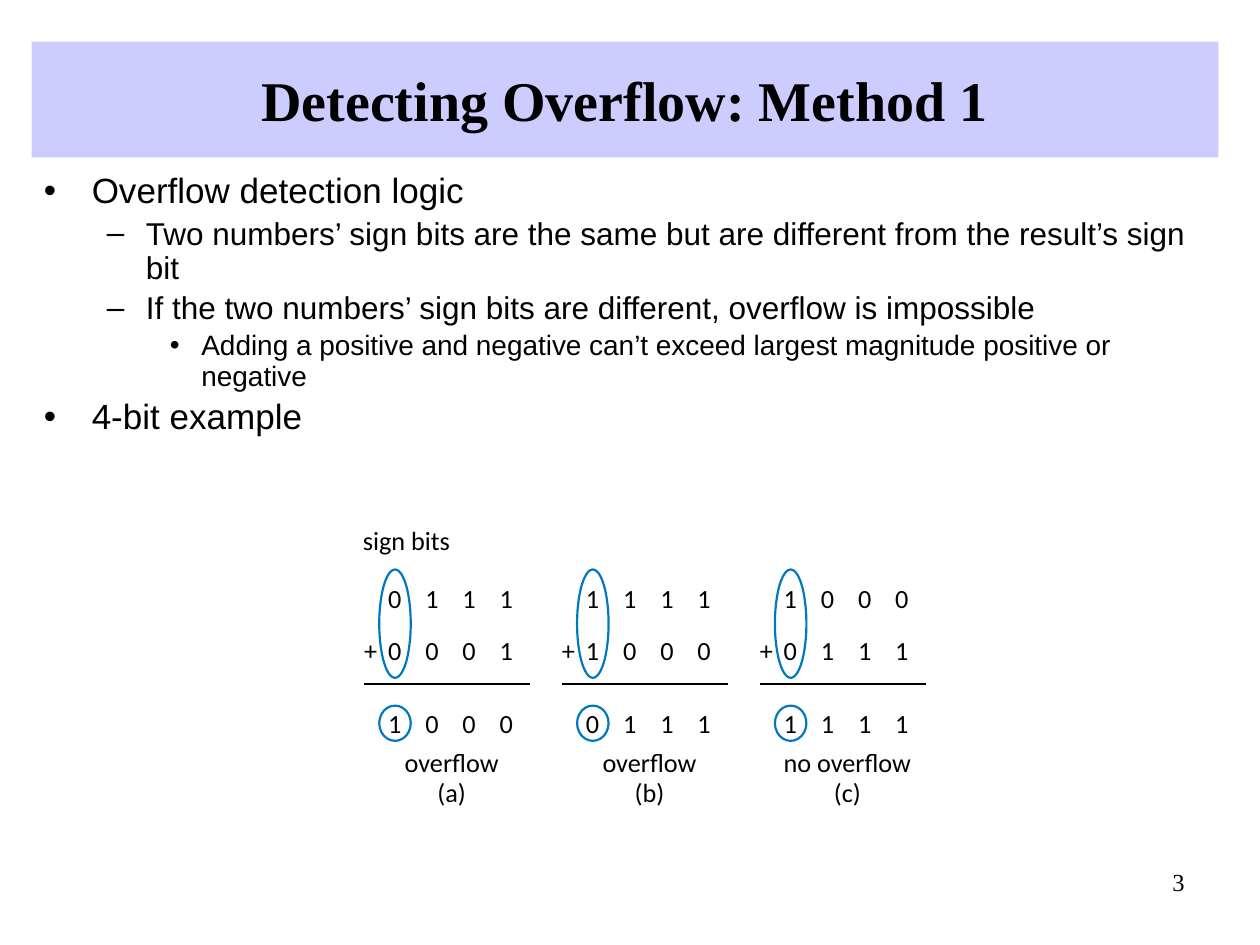
"""Build the slide on detecting overflow from the sign bits."""
from lxml.etree import SubElement
from pptx import Presentation
from pptx.dml.color import RGBColor
from pptx.enum.shapes import MSO_CONNECTOR, MSO_SHAPE
from pptx.enum.text import MSO_ANCHOR, MSO_AUTO_SIZE, PP_ALIGN
from pptx.oxml.ns import qn
from pptx.util import Inches, Pt

BLACK = RGBColor(0x00, 0x00, 0x00)
LAVENDER = RGBColor(0xCC, 0xCC, 0xFF)
BLUE = RGBColor(0x00, 0x78, 0xC1)

TITLE_FONT = {"name": "Times New Roman", "size": Pt(32), "bold": True}
NUMBER_FONT = {"name": "Times New Roman", "size": Pt(14)}
FIGURE_FONT = {"name": "Calibri", "size": Pt(15)}
NO_MARGINS = {"margin_left": 0, "margin_right": 0, "margin_top": 0, "margin_bottom": 0}
FIGURE_FRAME = {**NO_MARGINS, "word_wrap": False, "auto_size": MSO_AUTO_SIZE.SHAPE_TO_FIT_TEXT}

# Per level: bullet, text size, left margin, hanging indent
LEVELS = [("•", 20, 0.38, 0.38), ("–", 18, 0.81, 0.31), ("•", 16, 1.25, 0.25)]
POINTS = [
    (0, "Overflow detection logic"),
    (1, "Two numbers’ sign bits are the same but are different from the result’s sign bit"),
    (1, "If the two numbers’ sign bits are different, overflow is impossible"),
    (2, "Adding a positive and negative can’t exceed largest magnitude positive or negative"),
    (0, "4-bit example"),
]
ADDITIONS = [
    ("0111", "0001", "1000", "overflow", "(a)"),
    ("1111", "1000", "0111", "overflow", "(b)"),
    ("1000", "0111", "1111", "no overflow", "(c)"),
]
FIRST_ADDITION, ADDITION_STEP = 2.89, 1.57
BIT_OFFSET, BIT_STEP = 0.19, 0.295
BIT_ROWS = (4.62, 5.03, 5.61)
SUM_LINE, SUM_WIDTH = 5.43, 1.32


def set_format(target, values):
    """Set each named attribute of the target."""
    for name, value in values.items():
        setattr(target, name, value)


def set_text(paragraph, words, font, align=PP_ALIGN.LEFT):
    """Write one run of black text into a paragraph."""
    paragraph.alignment = align
    run = paragraph.add_run()
    run.text = words
    set_format(run.font, font)
    run.font.color.rgb = BLACK


def add_label(slide, words, left, top, width, align=PP_ALIGN.LEFT):
    """Add a small text of the worked example."""
    label = slide.shapes.add_textbox(Inches(left), Inches(top), Inches(width), Inches(0.25))
    set_format(label.text_frame, FIGURE_FRAME)
    set_text(label.text_frame.paragraphs[0], words, FIGURE_FONT, align)


def add_ring(slide, left, top, width, height):
    """Add an open blue ellipse around sign bits."""
    ring = slide.shapes.add_shape(
        MSO_SHAPE.OVAL, Inches(left), Inches(top), Inches(width), Inches(height))
    ring.shadow.inherit = False
    ring.fill.background()
    ring.line.color.rgb = BLUE
    ring.line.width = Pt(1.25)


def add_sum_line(slide, left):
    """Add the rule above a result."""
    rule = slide.shapes.add_connector(
        MSO_CONNECTOR.STRAIGHT, Inches(left), Inches(SUM_LINE),
        Inches(left + SUM_WIDTH), Inches(SUM_LINE))
    rule.line.color.rgb = BLACK
    rule.line.width = Pt(1.25)
    SubElement(rule._element.spPr, qn("a:effectLst"))


def add_addition(slide, left, first, second, result, verdict, letter):
    """Add one binary addition with its rings and captions."""
    for top, bits in zip(BIT_ROWS, (first, second, result)):
        for column, bit in enumerate(bits):
            add_label(slide, bit, left + BIT_OFFSET + column * BIT_STEP, top, 0.12)
    add_label(slide, "+", left, BIT_ROWS[1], 0.12)
    add_sum_line(slide, left)
    add_ring(slide, left + 0.12, 4.52, 0.25, 0.86)
    add_ring(slide, left + 0.12, 5.6, 0.25, 0.28)
    for top, caption in ((5.92, verdict), (6.16, letter)):
        add_label(slide, caption, left + 0.16, top, 1.07, PP_ALIGN.CENTER)


def fill_title(slide, words):
    """Place and format the title band."""
    title = slide.shapes.title
    set_format(title, {"left": Inches(0.25), "top": Inches(0.33),
                       "width": Inches(9.42), "height": Inches(0.92)})
    title.fill.solid()
    title.fill.fore_color.rgb = LAVENDER
    set_format(title.text_frame, {"vertical_anchor": MSO_ANCHOR.MIDDLE,
                                  "auto_size": MSO_AUTO_SIZE.NONE, "word_wrap": True})
    set_text(title.text_frame.paragraphs[0], words, TITLE_FONT, PP_ALIGN.CENTER)


def add_points(slide):
    """Add the bulleted explanation."""
    body = slide.shapes.add_textbox(Inches(0.25), Inches(1.33), Inches(9.42), Inches(0.44))
    frame = body.text_frame
    frame.word_wrap = True
    for index, (level, words) in enumerate(POINTS):
        bullet, size, margin, hanging = LEVELS[level]
        point = frame.add_paragraph() if index else frame.paragraphs[0]
        set_format(point, {"level": level, "line_spacing": 0.9, "space_before": Pt(size * 0.2)})
        set_text(point, words, {"name": "Arial", "size": Pt(size)})
        properties = point._p.get_or_add_pPr()
        properties.set("marL", str(Inches(margin)))
        properties.set("indent", str(-Inches(hanging)))
        SubElement(properties, qn("a:buFont"), typeface="Arial")
        SubElement(properties, qn("a:buChar"), char=bullet)


def add_page_number(slide, number):
    """Add the page number at the lower right."""
    page = slide.shapes.add_textbox(Inches(7.42), Inches(6.83), Inches(2.08), Inches(0.5))
    page.text_frame.word_wrap = True
    set_text(page.text_frame.paragraphs[0], number, NUMBER_FONT, PP_ALIGN.RIGHT)


def main():
    """Build and save the slide."""
    deck = Presentation()
    set_format(deck, {"slide_width": Inches(10), "slide_height": Inches(7.5)})
    slide = deck.slides.add_slide(deck.slide_layouts[5])
    add_page_number(slide, "3")
    fill_title(slide, "Detecting Overflow: Method 1")
    add_points(slide)
    add_label(slide, "sign bits", 2.88, 4.16, 0.77)
    for index, addition in enumerate(ADDITIONS):
        add_addition(slide, FIRST_ADDITION + index * ADDITION_STEP, *addition)
    deck.save("out.pptx")


if __name__ == "__main__":
    main()
